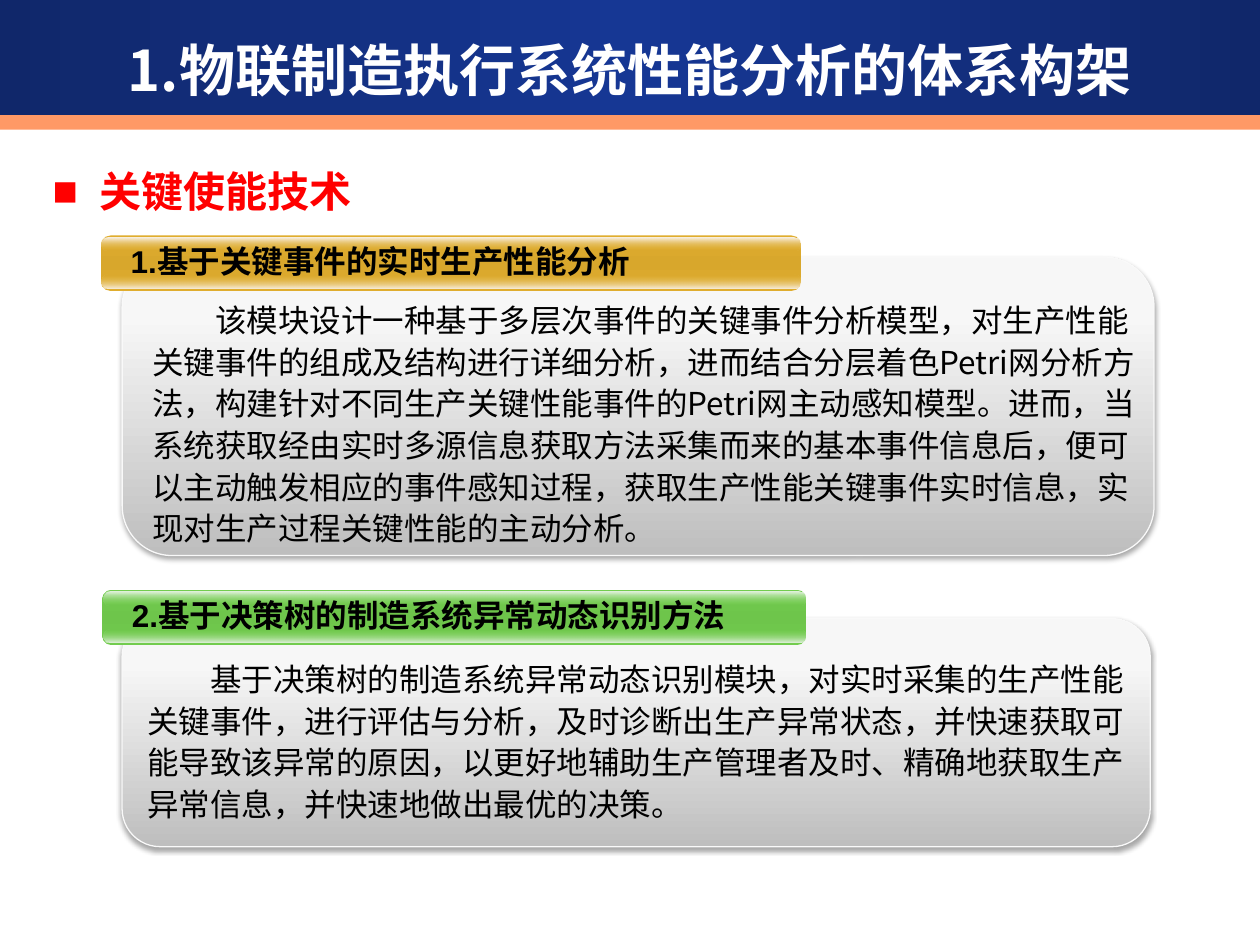
"""Build the slide on key enabling technologies for manufacturing performance analysis."""
from dataclasses import dataclass

from lxml.etree import SubElement
from pptx import Presentation
from pptx.dml.color import RGBColor
from pptx.enum.shapes import MSO_SHAPE
from pptx.enum.text import MSO_ANCHOR, PP_ALIGN
from pptx.oxml import parse_xml
from pptx.oxml.ns import nsdecls, qn
from pptx.util import Pt


@dataclass(frozen=True)
class Theme:
    cjk: str = "Noto Sans CJK SC"
    latin: str = "Arial"
    white: str = "FFFFFF"
    black: str = "000000"
    red: str = "FF0000"
    stripe: str = "FF9966"
    panel_edge: str = "F9F9F9"
    banner: tuple = ((0, "10276A", 100), (50, "163794", 100), (100, "10276A", 100))
    panel: tuple = ((0, "BEBEBE", 100), (80, "F7F7F7", 100), (100, "F8F8F8", 100))
    title_size: int = 32
    heading_size: int = 24
    body_size: int = 18
    line_pitch: float = 23.8


theme = Theme()


def add_gradient_shape(shapes, preset, frame, stops, angle, corner=None):
    shape = shapes.add_shape(preset, *map(Pt, frame))
    if corner is not None:
        shape.adjustments[0] = corner
    shape.line.fill.background()
    shape.shadow.inherit = False
    shape.fill.background()
    properties = shape._element.spPr
    stop_xml = "".join(
        f'<a:gs pos="{position * 1000}"><a:srgbClr val="{color}">'
        f'<a:alpha val="{alpha * 1000}"/></a:srgbClr></a:gs>'
        for position, color, alpha in stops
    )
    gradient = parse_xml(
        f'<a:gradFill {nsdecls("a")} rotWithShape="1"><a:gsLst>{stop_xml}</a:gsLst>'
        f'<a:lin ang="{angle * 60000}" scaled="0"/></a:gradFill>'
    )
    properties.replace(properties.find(qn("a:noFill")), gradient)
    return shape


def write_text(shape, text, size, color, bold, latin=theme.cjk, anchor=MSO_ANCHOR.MIDDLE):
    frame = shape.text_frame
    frame.word_wrap = True
    frame.vertical_anchor = anchor
    paragraph = frame.paragraphs[0]
    run = paragraph.add_run()
    run.text = text
    run.font.size = Pt(size)
    run.font.bold = bold
    run.font.name = latin
    run.font.color.rgb = RGBColor.from_string(color)
    SubElement(run.font._element, qn("a:ea")).set("typeface", theme.cjk)
    return paragraph


presentation = Presentation()
presentation.slide_width, presentation.slide_height = Pt(720), Pt(540)
slide = presentation.slides.add_slide(presentation.slide_layouts[5])

stripe = slide.shapes.add_shape(MSO_SHAPE.RECTANGLE, Pt(0), Pt(54.7), Pt(720), Pt(19.4))
stripe.fill.solid()
stripe.fill.fore_color.rgb = RGBColor.from_string(theme.stripe)
stripe.line.fill.background()
stripe.shadow.inherit = False
banner = add_gradient_shape(
    slide.shapes, MSO_SHAPE.RECTANGLE, (0, 0, 720, 65.5), theme.banner, 0)

title = slide.shapes.title
banner._element.addnext(title._element)
title.left, title.top, title.width, title.height = Pt(36), Pt(0), Pt(648), Pt(79.2)
title_line = write_text(
    title, "1.物联制造执行系统性能分析的体系构架", theme.title_size, theme.white, True)
title_line.alignment = PP_ALIGN.CENTER

heading = slide.shapes.add_textbox(Pt(23), Pt(86.4), Pt(669), Pt(41))
heading_line = write_text(heading, "关键使能技术", theme.heading_size, theme.red, True)
heading_line.line_spacing = 1.15
heading_format = heading_line._p.get_or_add_pPr()
heading_format.set("marL", str(Pt(27)))
heading_format.set("indent", str(Pt(-27)))
bullet_color = SubElement(heading_format, qn("a:buClr"))
SubElement(bullet_color, qn("a:srgbClr")).set("val", theme.red)
SubElement(heading_format, qn("a:buFont")).set("typeface", theme.latin)
SubElement(heading_format, qn("a:buChar")).set("char", "■")

sections = [
    dict(
        label="1.基于关键事件的实时生产性能分析",
        body="该模块设计一种基于多层次事件的关键事件分析模型，对生产性能关键事件的组成及结构进行详细分析，"
             "进而结合分层着色Petri网分析方法，构建针对不同生产关键性能事件的Petri网主动感知模型。"
             "进而，当系统获取经由实时多源信息获取方法采集而来的基本事件信息后，便可以主动触发相应的事件感知过程，"
             "获取生产性能关键事件实时信息，实现对生产过程关键性能的主动分析。",
        panel=(69.8, 146.9, 589.7, 170.6),
        band=(57.6, 134.6, 400.3, 31.7),
        text=(79.9, 166.3, 578.2, 151.2),
        edge="E0AD2E", middle="D8A72C", top_gloss="FAF4ED", bottom_gloss="F9F2E9",
    ),
    dict(
        label="2.基于决策树的制造系统异常动态识别方法",
        body="基于决策树的制造系统异常动态识别模块，对实时采集的生产性能关键事件，进行评估与分析，"
             "及时诊断出生产异常状态，并快速获取可能导致该异常的原因，"
             "以更好地辅助生产管理者及时、精确地获取生产异常信息，并快速地做出最优的决策。",
        panel=(69.8, 353.5, 587.5, 130.3),
        band=(58.3, 337, 402.5, 31.7),
        text=(77, 371.5, 581.8, 103),
        edge="72CC4E", middle="6EC54B", top_gloss="ECF6EA", bottom_gloss="E6F3E3",
    ),
]

for section in sections:
    panel = add_gradient_shape(
        slide.shapes, MSO_SHAPE.ROUNDED_RECTANGLE, section["panel"], theme.panel, 270, 0.167)
    panel.line.color.rgb = RGBColor.from_string(theme.panel_edge)
    panel.line.width = Pt(0.75)
    effects = panel._element.spPr.find(qn("a:effectLst"))
    effects.append(parse_xml(
        f'<a:outerShdw {nsdecls("a")} blurRad="{Pt(3.1)}" dist="{Pt(1.8)}" dir="5400000" '
        f'rotWithShape="0"><a:srgbClr val="{theme.black}"><a:alpha val="35000"/>'
        f'</a:srgbClr></a:outerShdw>'
    ))

    left, top, width, height = section["band"]
    edge = section["edge"]
    band = slide.shapes.add_group_shape()
    base_stops = ((0, edge, 100), (50, section["middle"], 100), (100, edge, 100))
    bottom_stops = ((0, edge, 0), (100, section["bottom_gloss"], 100))
    top_stops = ((0, section["top_gloss"], 100), (100, edge, 0))
    add_gradient_shape(
        band.shapes, MSO_SHAPE.ROUNDED_RECTANGLE, section["band"], base_stops, 90, 0.175)
    for offset, stops in ((22.5, bottom_stops), (0.9, top_stops)):
        gloss = (left + 0.7, top + offset, width - 1.4, 7.9)
        add_gradient_shape(band.shapes, MSO_SHAPE.ROUNDED_RECTANGLE, gloss, stops, 90, 0.5)

    label = slide.shapes.add_textbox(Pt(left), Pt(top), Pt(width - 2.9), Pt(28.8))
    label_line = write_text(
        label, section["label"], theme.body_size, theme.black, True, theme.latin)
    label_line._p.get_or_add_pPr().set("marL", str(Pt(10)))

    body = slide.shapes.add_textbox(*map(Pt, section["text"]))
    body_line = write_text(
        body, section["body"], theme.body_size, theme.black, False, anchor=MSO_ANCHOR.TOP)
    body_line.line_spacing = Pt(theme.line_pitch)
    body_format = body_line._p.get_or_add_pPr()
    body_format.set("indent", str(Pt(36)))
    body_format.set("hangingPunct", "0")

presentation.save("out.pptx")
